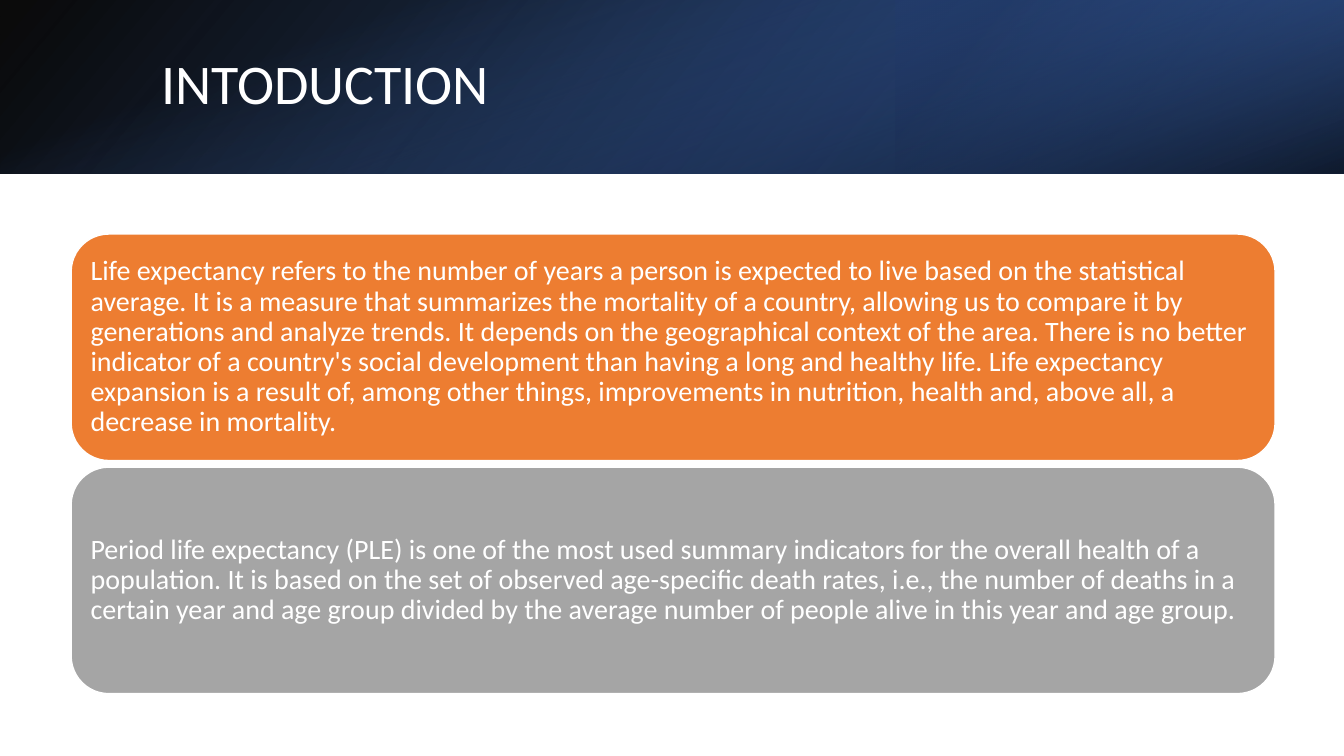
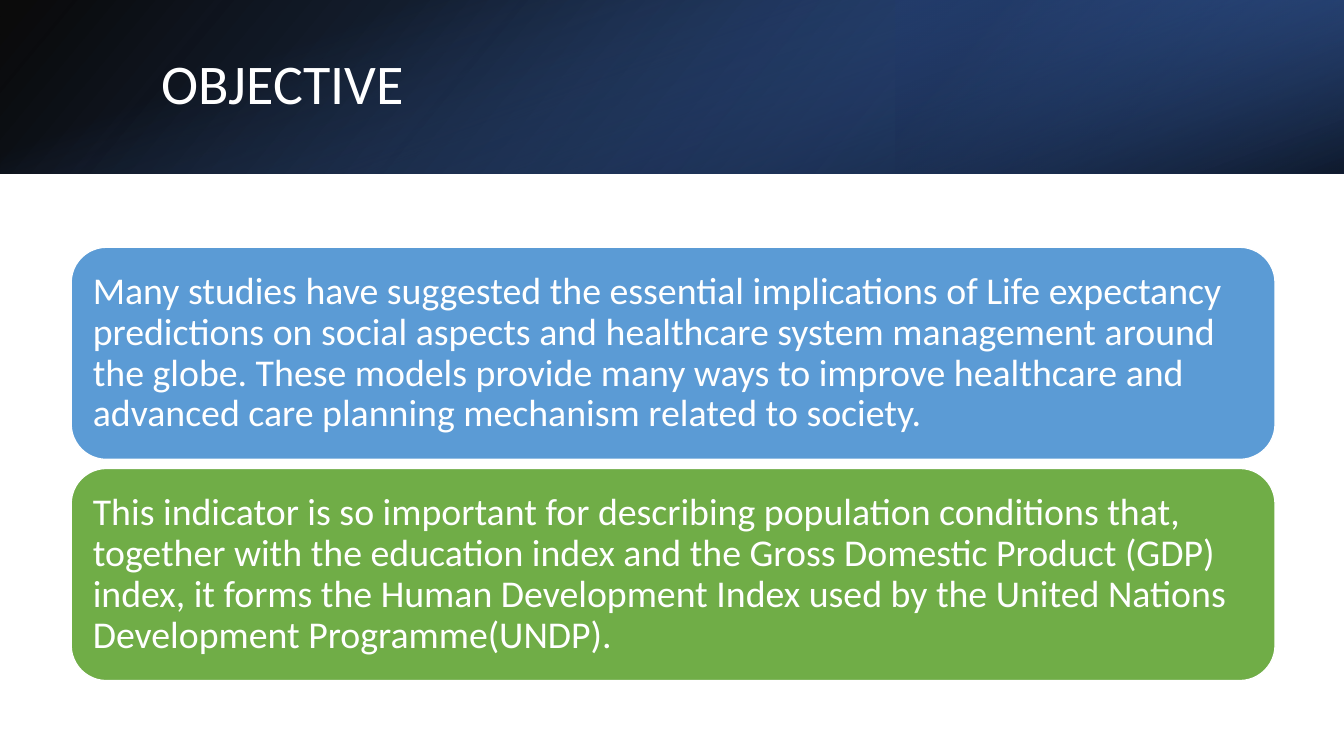
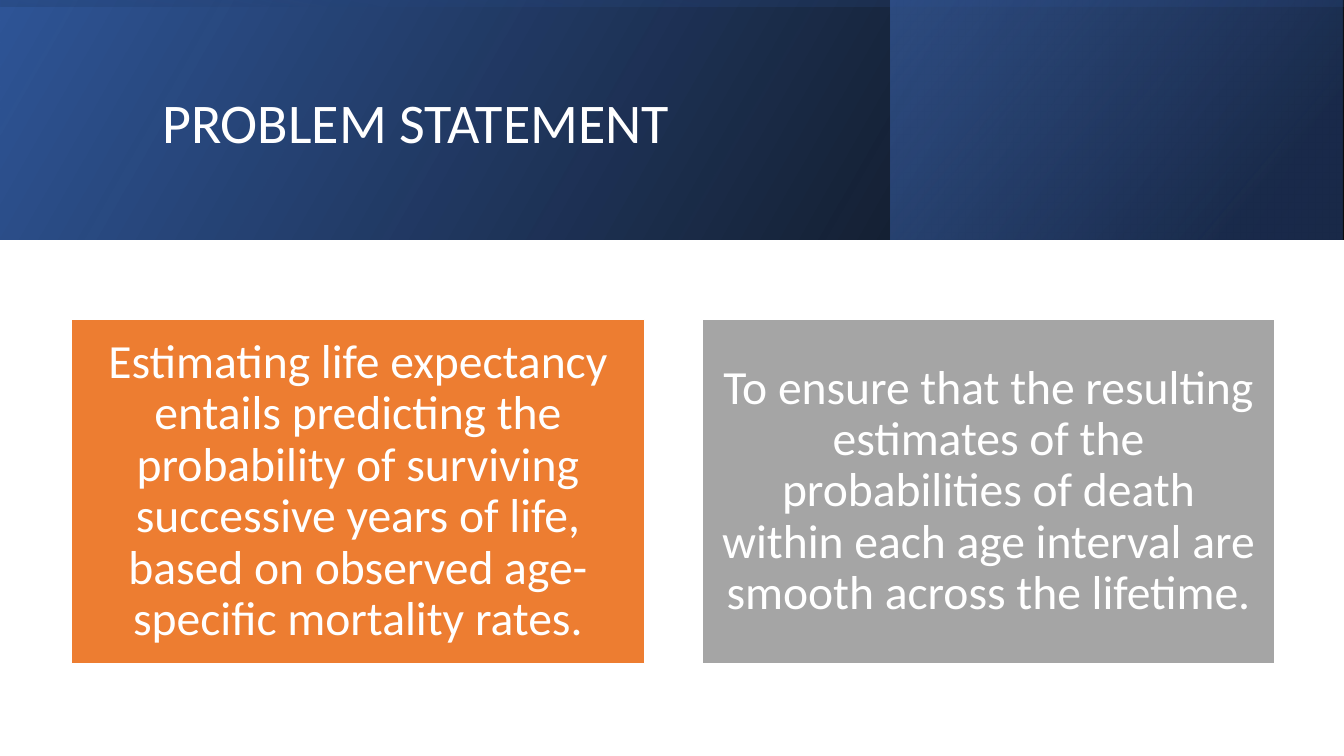
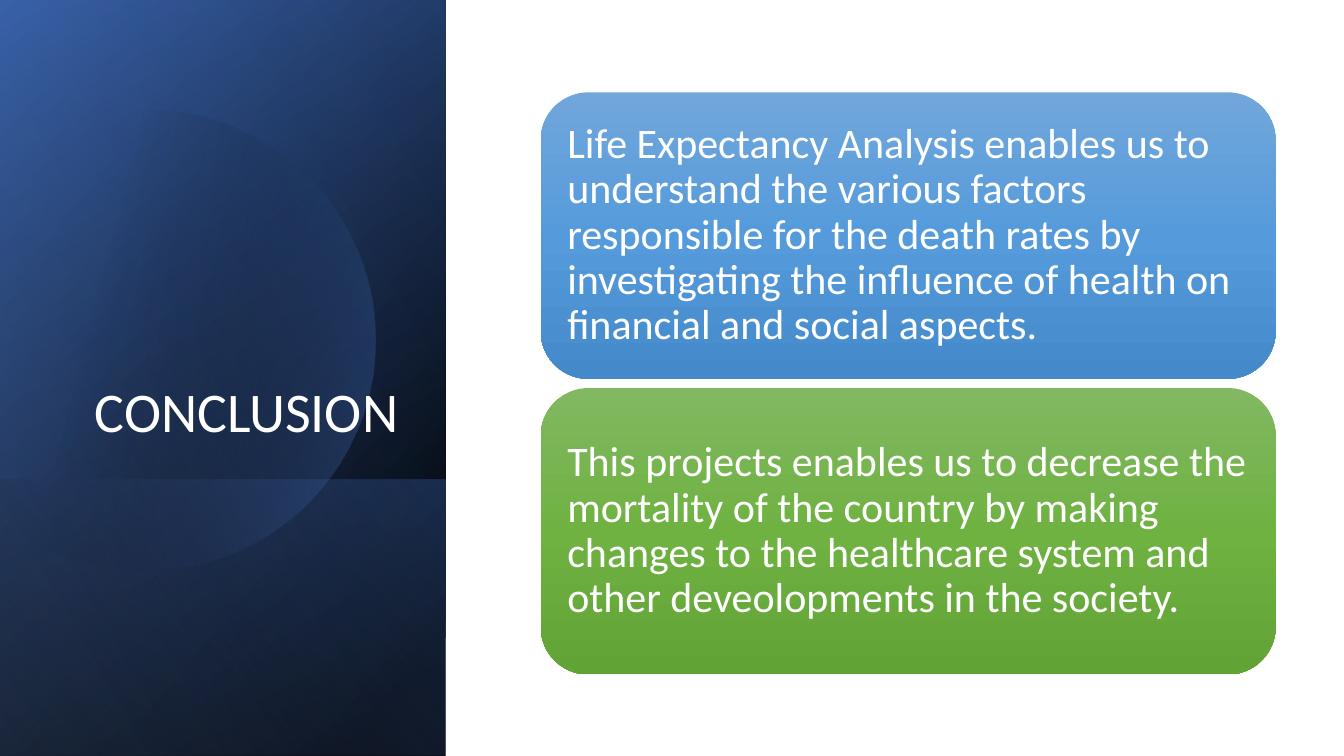
import math

from pptx import Presentation
from pptx.dml.color import RGBColor
from pptx.enum import shapes, text
from pptx.oxml import ns, parse_xml
from pptx.util import Pt

# Shared style
FONT = "Calibri"
WHITE = RGBColor(0xFF, 0xFF, 0xFF)
BLACK = RGBColor(0x00, 0x00, 0x00)
NAVY = RGBColor(0x20, 0x38, 0x64)
DEEP_BLUE = RGBColor(0x2F, 0x55, 0x97)
BLUE = RGBColor(0x44, 0x72, 0xC4)
PALE_BLUE = RGBColor(0x8F, 0xAA, 0xDC)
ORANGE = RGBColor(0xED, 0x7D, 0x31)
GRAY = RGBColor(0xA5, 0xA5, 0xA5)
SKY = RGBColor(0x5B, 0x9B, 0xD5)
GREEN = RGBColor(0x70, 0xAD, 0x47)
SKY_FADE = [(0, RGBColor(0x71, 0xA6, 0xDB), 100),
            (50, RGBColor(0x55, 0x9B, 0xDB), 100),
            (100, RGBColor(0x44, 0x8A, 0xCA), 100)]
GREEN_FADE = [(0, RGBColor(0x81, 0xB8, 0x61), 100),
              (50, RGBColor(0x6F, 0xB2, 0x42), 100),
              (100, RGBColor(0x62, 0xA3, 0x36), 100)]

WIDTH, HEIGHT = 960, 540
RECT = shapes.MSO_SHAPE.RECTANGLE
ROUNDED = shapes.MSO_SHAPE.ROUNDED_RECTANGLE
LEFT, CENTER, RIGHT = (text.PP_ALIGN.LEFT, text.PP_ALIGN.CENTER,
                       text.PP_ALIGN.RIGHT)
MIDDLE, BOTTOM = text.MSO_ANCHOR.MIDDLE, text.MSO_ANCHOR.BOTTOM


class Deck:
    """Holds the presentation, its style and the current slide."""

    def __init__(self):
        self.prs = Presentation()
        self.prs.slide_width, self.prs.slide_height = Pt(WIDTH), Pt(HEIGHT)
        self.s = None

    def new_slide(self):
        self.s = self.prs.slides.add_slide(self.prs.slide_layouts[5])

    def set_text(self, tf, words, size, align, anchor):
        tf.word_wrap = True
        tf.auto_size = text.MSO_AUTO_SIZE.NONE
        tf.vertical_anchor = anchor
        p = tf.paragraphs[0]
        p.alignment = align
        p.line_spacing = 0.9
        r = p.add_run()
        r.text = words
        r.font.name, r.font.size = FONT, Pt(size)
        r.font.color.rgb = WHITE

    def title(self, words, x, y, w, h, align=LEFT, anchor=MIDDLE):
        sp = self.s.shapes.title
        sp.left, sp.top, sp.width, sp.height = Pt(x), Pt(y), Pt(w), Pt(h)
        self.set_text(sp.text_frame, words, 40, align, anchor)
        sp.element.getparent().append(sp.element)  # in front of the bands

    def gradient(self, sp, stops, angle):
        """Stops are (position %, colour, opacity %); angle is clockwise."""
        gs = "".join(
            f'<a:gs pos="{pos * 1000}"><a:srgbClr val="{color}">'
            f'<a:alpha val="{alpha * 1000}"/></a:srgbClr></a:gs>'
            for pos, color, alpha in stops)
        sp.fill.background()
        spPr = sp.element.spPr
        spPr.replace(spPr.find(ns.qn("a:noFill")), parse_xml(
            f'<a:gradFill {ns.nsdecls("a")} rotWithShape="1"><a:gsLst>{gs}'
            f'</a:gsLst><a:lin ang="{angle * 60000}" scaled="0"/></a:gradFill>'))

    def plain(self, sp):
        sp.shadow.inherit = False
        sp.line.fill.background()

    def band(self, x, y, w, h, stops, angle, rot=0, flip=True):
        """Gradient band; x, y, w, h is the area it covers once rotated."""
        if rot % 180:
            x, y, w, h = x + (w - h) / 2, y + (h - w) / 2, h, w
        sp = self.s.shapes.add_shape(RECT, Pt(x), Pt(y), Pt(w), Pt(h))
        sp.rotation = rot
        if flip:
            sp.element.spPr.find(ns.qn("a:xfrm")).set("flipH", "1")
        self.plain(sp)
        self.gradient(sp, stops, angle)

    def cut_disc(self, cx, cy, radius, stops, angle):
        """Disc cut off by the left edge of the slide."""
        limit = math.acos(-cx / radius)
        steps = 120
        turns = [limit * (2 * i / steps - 1) for i in range(steps + 1)]
        points = [(Pt(cx + radius * math.cos(t)), Pt(cy + radius * math.sin(t)))
                  for t in turns]
        builder = self.s.shapes.build_freeform(*points[0])
        builder.add_line_segments(points[1:], close=True)
        sp = builder.convert_to_shape()
        self.plain(sp)
        self.gradient(sp, stops, angle)

    def card(self, kind, x, y, w, h, fill, words, size, align):
        sp = self.s.shapes.add_shape(kind, Pt(x), Pt(y), Pt(w), Pt(h))
        self.plain(sp)
        if isinstance(fill, RGBColor):
            sp.fill.solid()
            sp.fill.fore_color.rgb = fill
            sp.line.color.rgb, sp.line.width = WHITE, Pt(1)
        else:
            self.gradient(sp, fill, 90)
        tf = sp.text_frame
        tf.margin_left = tf.margin_right = Pt(0.3 * size)
        tf.margin_top = tf.margin_bottom = Pt(0.3 * size)
        self.set_text(tf, words, size, align, MIDDLE)

    def stack(self, x, y, w, h, gap, size, items):
        for i, (fill, words) in enumerate(items):
            self.card(ROUNDED, x, y + i * (h + gap), w, h, fill, words, size, LEFT)

    def row(self, x, y, w, h, gap, size, items):
        for i, (fill, words) in enumerate(items):
            self.card(RECT, x + i * (w + gap), y, w, h, fill, words, size, CENTER)

    def header_slide(self, words):
        """Slide with the narrow header shared by the text slides."""
        self.new_slide()
        h = 124
        self.band(0, 0, WIDTH, h, [(0, BLACK, 96), (100, DEEP_BLUE, 100)], 140)
        self.band(640, 0, 320, h, [(19, NAVY, 68), (100, BLUE, 79)], 320, 180)
        self.band(0, 0, WIDTH, h, [(23, BLUE, 0), (99, BLACK, 74)], 340, 90, False)
        self.title(words, 108, 27.4, 790, 69)


deck = Deck()

# Slide 1: introduction
deck.header_slide("INTODUCTION")
deck.stack(50.8, 167.2, 860, 161.8, 4.7, 20, [
    (ORANGE, "Life expectancy refers to the number of years a person is expected "
     "to live based on the statistical average. It is a measure that summarizes "
     "the mortality of a country, allowing us to compare it by generations and "
     "analyze trends. It depends on the geographical context of the area. There "
     "is no better indicator of a country's social development than having a long "
     "and healthy life. Life expectancy expansion is a result of, among other "
     "things, improvements in nutrition, health and, above all, a decrease in "
     "mortality."),
    (GRAY, "Period life expectancy (PLE) is one of the most used summary "
     "indicators for the overall health of a population. It is based on the set "
     "of observed age-specific death rates, i.e., the number of deaths in a "
     "certain year and age group divided by the average number of people alive "
     "in this year and age group."),
])

# Slide 2: objective
deck.header_slide("OBJECTIVE")
deck.stack(50.8, 176.6, 860, 151.6, 6.4, 27, [
    (SKY, "Many studies have suggested the essential implications of Life "
     "expectancy predictions on social aspects and healthcare system management "
     "around the globe. These models provide many ways to improve healthcare and "
     "advanced care planning mechanism related to society."),
    (GREEN, "This indicator is so important for describing population conditions "
     "that, together with the education index and the Gross Domestic Product "
     "(GDP) index, it forms the Human Development Index used by the United "
     "Nations Development Programme(UNDP)."),
])

# Slide 3: problem statement
deck.new_slide()
header = 171
deck.band(0, 0, WIDTH, header, [(0, BLACK, 96), (100, DEEP_BLUE, 100)], 330)
deck.band(636, 0, 323, header, [(19, NAVY, 68), (100, BLUE, 48)], 320)
deck.band(0, 0, WIDTH, header, [(23, DEEP_BLUE, 16), (99, BLACK, 45)], 350, 270)
deck.title("PROBLEM STATEMENT", 108.6, 27.4, 765, 124)
deck.row(51, 228.4, 409.4, 245.4, 41, 34, [
    (ORANGE, "Estimating life expectancy entails predicting the probability of "
     "surviving successive years of life, based on observed age-specific "
     "mortality rates."),
    (GRAY, "To ensure that the resulting estimates of the probabilities of death "
     "within each age interval are smooth across the lifetime."),
])

# Slide 4: conclusion
deck.new_slide()
side = 318.4
deck.band(0, 0, side, HEIGHT, [(8, BLACK, 100), (100, DEEP_BLUE, 100)], 50, 90)
deck.band(0, 0, side, HEIGHT, [(0, BLACK, 0), (99, BLUE, 46)], 30, 90)
deck.band(0, 342.7, side, 197.3, [(2, BLUE, 29), (100, BLACK, 30)], 130, 90)
deck.cut_disc(104, 243, 164.5, [(29, BLACK, 0), (100, BLUE, 43)], 14)
deck.band(0, 0, side, HEIGHT, [(0, BLACK, 0), (99, PALE_BLUE, 11)], 120, 90)
deck.title("CONCLUSION", 46, 132.4, 245.6, 188.6, RIGHT, BOTTOM)
deck.stack(386.2, 66, 525, 204.6, 6.6, 30, [
    (SKY_FADE, "Life Expectancy Analysis enables us to understand the various "
     "factors responsible for the death rates by investigating the influence of "
     "health on financial and social aspects."),
    (GREEN_FADE, "This projects enables us to decrease the mortality of the "
     "country by making changes to the healthcare system and other "
     "deveolopments in the society."),
])

deck.prs.save("out.pptx")
